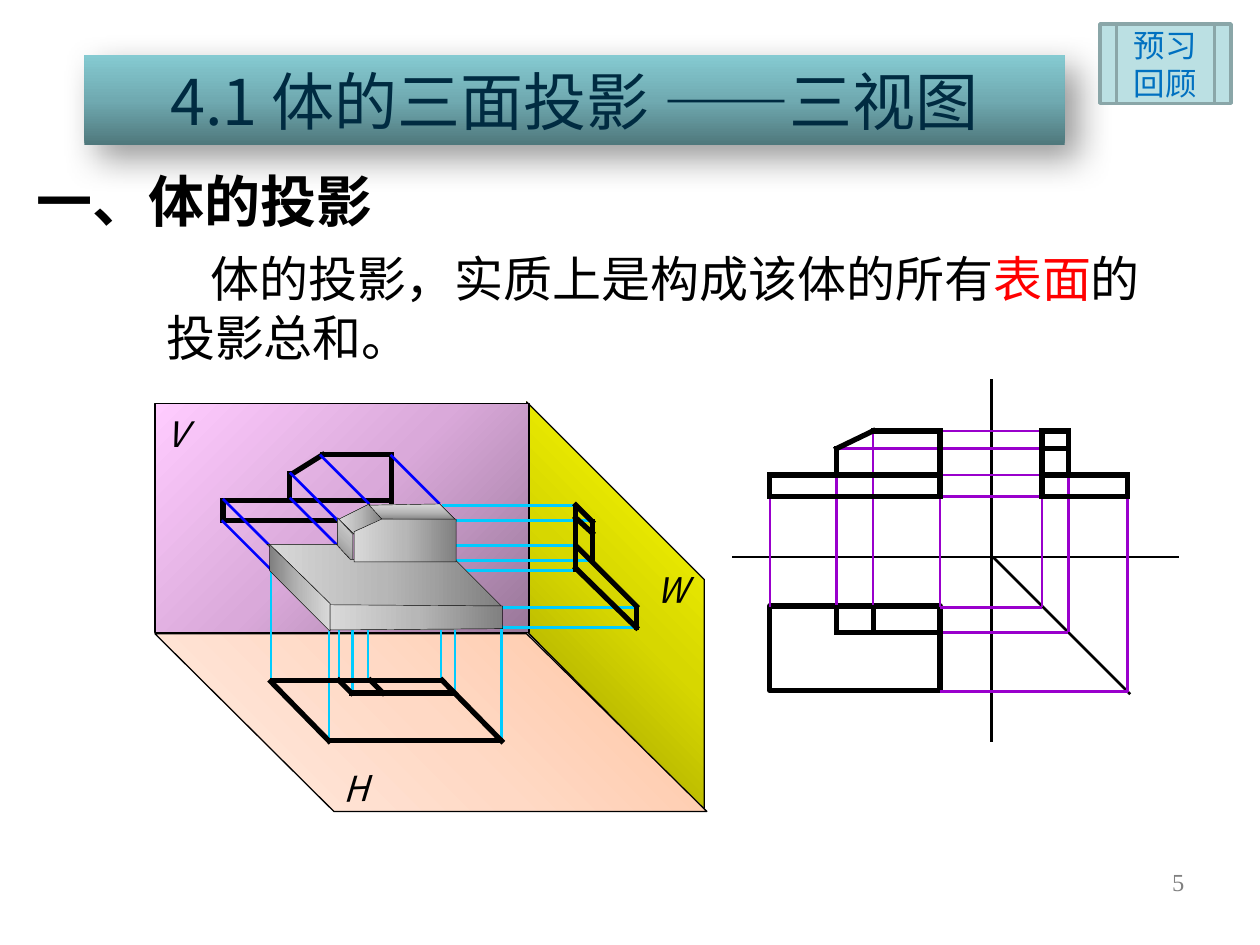
from pptx import Presentation
from pptx.dml.color import RGBColor
from pptx.enum.shapes import MSO_CONNECTOR as Conn, MSO_SHAPE as Kind
from pptx.enum.text import MSO_ANCHOR as Anchor, MSO_AUTO_SIZE as Auto, PP_ALIGN as Align
from pptx.oxml.ns import qn
from pptx.util import Inches, Pt
from lxml.etree import SubElement as Sub

SANS, SERIF = "Noto Sans CJK SC", "Times New Roman"
BLACK, CYAN, BLUE, PURPLE = "000000", "00CCFF", "0000FF", "9900CC"
GREY = ("808080", "B7B7B7", "D9D9D9")
THIN, BOLD = 1.5, 3


def color(code):
    return RGBColor.from_string(code)


class Sheet:
    """Holds the style and the current slide."""

    def __init__(self, slide, font):
        self.slide, self.font = slide, font

    def place(self, shape, at):
        shape.left, shape.top, shape.width, shape.height = map(Inches, at)

    def blend(self, shape, stops, angle):
        shape.fill.gradient()
        grad = shape._element.spPr.find(qn("a:gradFill"))
        ramp = grad.find(qn("a:gsLst"))
        for old in list(ramp):
            ramp.remove(old)
        for pos, code in zip((0, 50000, 100000), stops):
            stop = Sub(ramp, qn("a:gs"), pos=str(pos))
            Sub(stop, qn("a:srgbClr"), val=code)
        grad.find(qn("a:lin")).set("ang", str(angle * 60000))

    def paint(self, shape, fill=None, angle=0, line=None, width=0.75):
        shape.shadow.inherit = False
        if isinstance(fill, tuple):
            self.blend(shape, fill, angle)
        elif fill:
            shape.fill.solid()
            shape.fill.fore_color.rgb = color(fill)
        else:
            shape.fill.background()
        if line:
            shape.line.color.rgb = color(line)
            shape.line.width = Pt(width)
        else:
            shape.line.fill.background()

    def label(self, shape, runs, size, align=Align.LEFT, anchor=Anchor.MIDDLE,
              wrap=True, font=None, bold=False, italic=False):
        frame = shape.text_frame
        frame.auto_size = Auto.NONE
        frame.word_wrap, frame.vertical_anchor = wrap, anchor
        para = frame.paragraphs[0]
        para.alignment = align
        for words, code in runs:
            run = para.add_run()
            run.text = words
            face = run.font
            face.name, face.size = font or self.font, Pt(size)
            face.bold, face.italic = bold, italic
            face.color.rgb = color(code)
            Sub(run._r.rPr, qn("a:ea"), typeface=font or self.font)
        return para

    def title(self, at, words, size, code, fill):
        shape = self.slide.shapes.title
        self.place(shape, at)
        self.paint(shape, fill, 270)
        effect = shape._element.spPr.find(qn("a:effectLst"))
        cast = Sub(effect, qn("a:outerShdw"), blurRad=str(Pt(20)), dist=str(Pt(10)),
                   dir=str(45 * 60000), algn="tl", rotWithShape="0")
        Sub(Sub(cast, qn("a:srgbClr"), val=BLACK), qn("a:alpha"), val="40000")
        self.label(shape, [(words, code)], size, Align.CENTER)

    def text(self, at, runs, size, turn=0, **style):
        box = self.slide.shapes.add_textbox(*map(Inches, at))
        box.rotation = turn
        return self.label(box, runs, size, **style)

    def shape(self, kind, at, **style):
        item = self.slide.shapes.add_shape(kind, *map(Inches, at))
        self.paint(item, **style)
        return item

    def face(self, points, fill, angle, width=0.75):
        dots = [(Inches(x), Inches(y)) for x, y in points]
        pen = self.slide.shapes.build_freeform(*dots[0])
        pen.add_line_segments(dots[1:], close=True)
        self.paint(pen.convert_to_shape(), fill, angle, BLACK, width)

    def lines(self, code, width, ends):
        for end in ends:
            line = self.slide.shapes.add_connector(Conn.STRAIGHT, *map(Inches, end))
            line.line.color.rgb = color(code)
            line.line.width = Pt(width)
            spPr = line._element.spPr
            if width == BOLD:  # square caps close the corners
                spPr.find(qn("a:ln")).set("cap", "sq")
            Sub(spPr, qn("a:effectLst"))


def head(sheet):
    sheet.title((0.67, 0.44, 7.78, 0.71), "4.1 体的三面投影 ——三视图", 36,
                "002B41", ("4F787C", "70AAB1", "85CAD1"))
    sheet.text((0.19, 1.27, 4.26, 0.64), [("一、体的投影", BLACK)], 32,
               anchor=Anchor.TOP, bold=True)
    para = sheet.text((1.22, 1.92, 8.28, 1.04),
                      [("体的投影，实质上是构成该体的所有", BLACK),
                       ("表面", "FF0000"), ("的投影总和。", BLACK)], 28)
    para._p.get_or_add_pPr().set("indent", str(Inches(0.35)))
    sheet.text((7.17, 6.83, 2.33, 0.52), [("5", "808080")], 14, align=Align.RIGHT,
               anchor=Anchor.TOP, font=SERIF)
    key = sheet.shape(Kind.FLOWCHART_PREDEFINED_PROCESS, (8.73, 0.19, 1.04, 0.63),
                      fill="BBE0E3", line="8AA6A8", width=2)
    sheet.label(key, [("预习回顾", "0070C0")], 18, Align.CENTER)


def views(sheet):
    # Shared grid: a-d across the front, e-g across the side,
    # p-s down the front, t-v down the top view
    a, b, c, d, e, f, g = 6.11, 6.64, 6.93, 7.46, 8.27, 8.48, 8.95
    p, q, r, s, t, u, v = 3.42, 3.56, 3.77, 3.94, 4.82, 5.02, 5.49
    sheet.shape(Kind.RECTANGLE, (a, t - 0.01, d - a, 0.67), line=BLACK, width=BOLD)
    # Axes and mitre line
    sheet.lines(BLACK, THIN, [(5.81, 4.42, 9.36, 4.42), (7.87, 3.01, 7.87, 5.89),
                              (7.88, 4.42, 8.97, 5.51)])
    # Projection lines
    sheet.lines(PURPLE, THIN, [
        (a, s, a, t), (b, r, b, t), (c, p, c, t), (d, s, d, t),
        (d, p, e, p), (b, q, e, q), (d, r, e, r), (d, s, e, s),
        (d, t, e, t), (d, u, f, u), (d, v, g, v),
        (e, t, e, s), (f, u, f, p), (g, v, g, s)])
    # Top, front and side outlines
    sheet.lines(BLACK, BOLD, [
        (b, u, d, u), (b, u, b, t), (c, t, c, u),
        (d, r, d, p), (d, p, c, p), (b, r, b, q), (b, q, c, p),
        (a, s, d, s), (a, s, a, r), (a, r, d, r), (d, r, d, s),
        (e, r, e, p), (e, p, f, p), (e, q, f, q), (f, p, f, r),
        (g, s, g, r), (e, r, g, r), (e, s, g, s), (e, r, e, s)])


def planes(sheet):
    sheet.face([(4.18, 5.01), (5.59, 6.43), (5.59, 4.6), (4.18, 3.19)],
               ("979700", "D7D700", "FFFF00"), 315)
    sheet.face([(1.23, 5.03), (4.18, 5.03), (5.61, 6.44), (2.65, 6.44)],
               ("FFC4A0", "FFD9C5", "FFECE3"), 135)
    sheet.shape(Kind.RECTANGLE, (1.23, 3.2, 2.97, 1.82),
                fill=("997799", "DAA9DA", "FFCCFF"), angle=225, line=BLACK)
    for name, at, turn in (("V", (1.22, 3.22, 0.37, 0.44), 0),
                           ("W", (5.1, 4.46, 0.46, 0.44), 359.5),
                           ("H", (2.62, 6.03, 0.4, 0.44), 357.4)):
        sheet.text(at, [(name, BLACK)], 20, turn, align=Align.CENTER,
                   wrap=False, italic=True)


def rays(sheet):
    # Down to H
    drops = [(2.15, 4.52, 5.4), (2.61, 4.97, 5.89), (3.98, 4.96, 5.89), (3.5, 4.2, 5.4),
             (2.69, 4.32, 5.41), (2.8, 4.44, 5.5), (3.61, 4.44, 5.51), (2.92, 4.97, 5.4)]
    sheet.lines(CYAN, THIN, [(x, top, x, end) for x, top, end in drops])
    sheet.lines(BLACK, BOLD, [
        (2.16, 5.4, 3.5, 5.4), (2.63, 5.88, 3.97, 5.88), (3.51, 5.4, 3.98, 5.88),
        (2.79, 5.5, 3.59, 5.5), (2.94, 5.4, 3.04, 5.5), (2.69, 5.4, 2.79, 5.5),
        (2.15, 5.41, 2.61, 5.88)])
    # Back to V
    sheet.lines(BLACK, BOLD, [
        (2.3, 3.97, 2.3, 3.76), (2.32, 3.76, 2.56, 3.61), (3.11, 4.13, 1.77, 4.13),
        (1.77, 4.13, 1.77, 3.97), (3.11, 4.13, 3.11, 3.61), (3.11, 3.61, 2.56, 3.61),
        (1.77, 3.97, 3.11, 3.97)])
    slants = [(1.77, 3.96, 0.37), (2.54, 3.61, 0.39), (2.3, 3.95, 0.38),
              (2.3, 3.75, 0.38), (1.76, 4.13, 0.4), (3.1, 3.61, 0.39)]
    sheet.lines(BLUE, THIN, [(x, y, x + run, y + run) for x, y, run in slants])
    # Across to W
    spans = [(3.98, 5.05, 4.98), (3.66, 4.56, 4.53), (3.97, 5.05, 4.82), (3.51, 4.59, 4.01),
             (3.59, 4.7, 4.13), (3.62, 4.7, 4.45), (3.58, 4.59, 4.33)]
    sheet.lines(CYAN, THIN, [(x, y, end, y) for x, end, y in spans])
    sheet.lines(BLACK, BOLD, [
        (4.57, 4.02, 4.57, 4.52), (4.7, 4.14, 4.7, 4.45), (4.57, 4.01, 4.7, 4.14),
        (5.05, 4.98, 5.05, 4.82), (4.59, 4.35, 5.05, 4.81), (5.05, 4.98, 4.57, 4.51),
        (4.57, 4.11, 4.7, 4.23)])


def solid(sheet):
    faces = [
        (315, [(2.68, 4.11), (2.68, 4.33), (2.8, 4.46), (2.8, 4.24)]),
        (180, [(2.69, 4.12), (2.93, 4), (3.03, 4.12), (2.81, 4.24)]),
        (270, [(2.93, 4.01), (3.49, 4), (3.62, 4.13), (3.03, 4.12)]),
        (180, [(2.67, 4.32), (2.78, 4.44), (3.62, 4.45), (3.98, 4.81), (2.6, 4.81),
               (2.12, 4.32)]),
        (180, [(2.81, 4.22), (2.81, 4.46), (3.62, 4.46), (3.62, 4.12), (3.03, 4.12)]),
        (0, [(2.14, 4.32), (2.14, 4.53), (2.62, 5.01), (2.62, 4.79)]),
        (180, [(2.62, 4.8), (3.99, 4.81), (3.99, 4.99), (2.62, 5)])]
    for angle, points in faces:
        sheet.face(points, GREY, angle, 0.25)


def main():
    deck = Presentation()
    deck.slide_width, deck.slide_height = Inches(10), Inches(7.5)
    sheet = Sheet(deck.slides.add_slide(deck.slide_layouts[5]), SANS)
    for part in (planes, views, head, rays, solid):
        part(sheet)
    deck.save("out.pptx")


if __name__ == "__main__":
    main()
